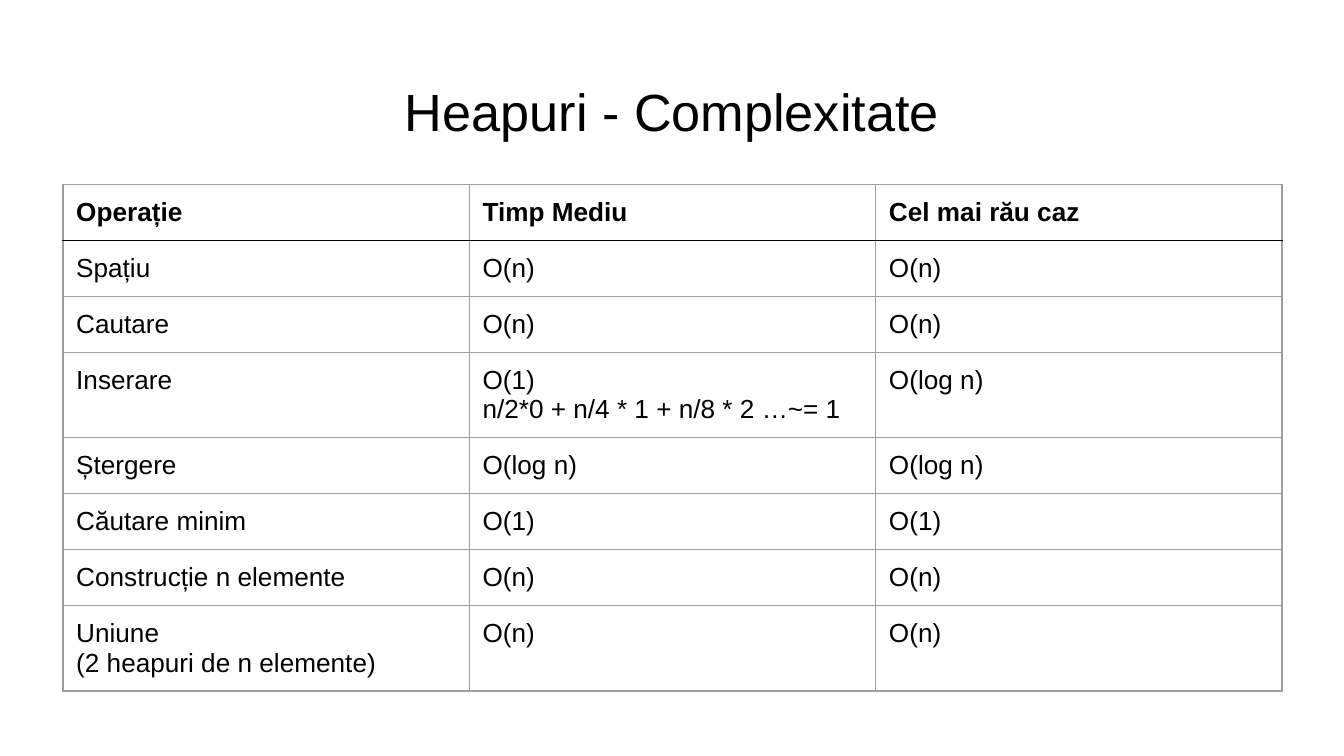
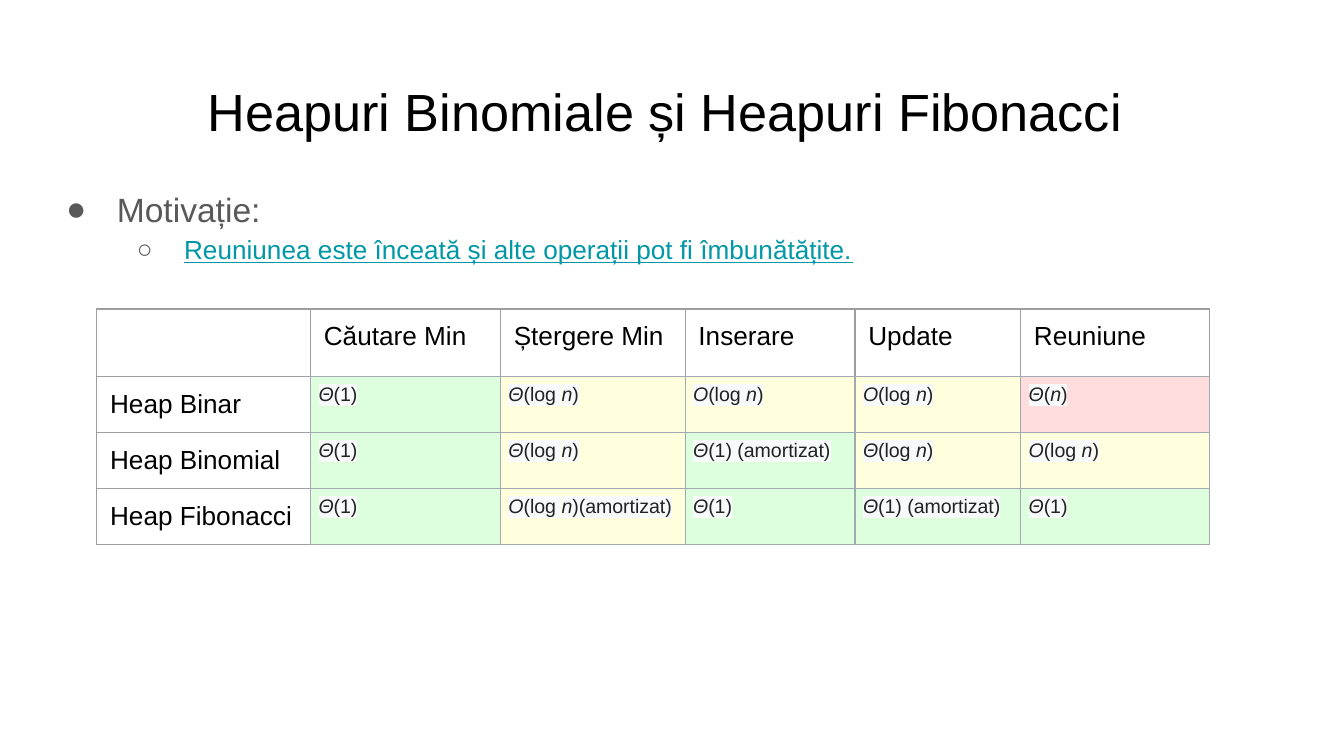
from dataclasses import dataclass, replace
from typing import NamedTuple, Optional

from lxml import etree
from pptx import Presentation
from pptx.dml.color import RGBColor
from pptx.enum.text import MSO_ANCHOR, MSO_AUTO_SIZE, PP_ALIGN
from pptx.oxml.ns import qn
from pptx.util import Cm, Pt

# Theme
FONT = "Arial"
BLACK = RGBColor(0x00, 0x00, 0x00)
WHITE = RGBColor(0xFF, 0xFF, 0xFF)
GREY = RGBColor(0x59, 0x59, 0x59)
TEAL = RGBColor(0x00, 0x97, 0xA7)
INK = RGBColor(0x22, 0x22, 0x22)
PAPER = RGBColor(0xF8, 0xF9, 0xFA)
LINE = RGBColor(0x9E, 0x9E, 0x9E)
SCORE_LINE = RGBColor(0xA2, 0xA9, 0xB1)
GREEN = RGBColor(0xDD, 0xFF, 0xDD)
YELLOW = RGBColor(0xFF, 0xFF, 0xDD)
RED = RGBColor(0xFF, 0xDD, 0xDD)
CENTER = PP_ALIGN.CENTER
TOP = MSO_ANCHOR.TOP
NO_AUTOFIT = MSO_AUTO_SIZE.NONE
TITLE_ONLY = 5
INSET = Cm(0.25)
ITALIC_MARK = "_"


class Edges(NamedTuple):
    """Border colours, in the order the cell properties need them."""
    L: RGBColor = LINE
    R: RGBColor = LINE
    T: RGBColor = LINE
    B: RGBColor = LINE


@dataclass(frozen=True)
class CellStyle:
    size: float = 14
    color: RGBColor = BLACK
    bold: bool = False
    highlight: Optional[RGBColor] = None
    spacing: Optional[float] = None
    after: float = 0
    inset_x: int = INSET
    inset_y: int = INSET
    edges: Edges = Edges()


class Cell(NamedTuple):
    text: str
    style: CellStyle
    fill: Optional[RGBColor] = None


class Bullet(NamedTuple):
    text: str
    char: str
    level: int
    margin: int
    hang: int
    size: float
    color: RGBColor
    underline: bool = False


PLAIN = CellStyle()
RULED_HEAD = CellStyle(bold=True, edges=Edges(B=BLACK))
UNDER_RULE = replace(PLAIN, edges=Edges(T=BLACK))
SCORE_HEAD = replace(PLAIN, edges=Edges(B=SCORE_LINE))
HEAP_NAME = replace(PLAIN, edges=Edges(R=SCORE_LINE))
SCORE = CellStyle(10.5, INK, highlight=PAPER, spacing=1.15, after=11,
                  inset_x=Cm(0.15), inset_y=Cm(0.08),
                  edges=Edges(*[SCORE_LINE] * 4))

# Content
COMPLEXITY = [
    ("Operație", "Timp Mediu", "Cel mai rău caz"),
    ("Spațiu", "O(n)", "O(n)"),
    ("Cautare", "O(n)", "O(n)"),
    ("Inserare", "O(1)\nn/2*0 + n/4 * 1 + n/8 * 2 …~= 1", "O(log n)"),
    ("Ștergere", "O(log n)", "O(log n)"),
    ("Căutare minim", "O(1)", "O(1)"),
    ("Construcție n elemente", "O(n)", "O(n)"),
    ("Uniune\n(2 heapuri de n elemente)", "O(n)", "O(n)"),
]

MOTIVATION = [
    Bullet("Motivație:", "●", 0, Cm(1.27), Cm(0.96), 18, GREY),
    Bullet("Reuniunea este înceată și alte operații pot fi îmbunătățite.", "○",
           1, Cm(2.54), Cm(0.89), 14, TEAL, True),
]

OPERATIONS = ["", "Căutare Min", "Ștergere Min", "Inserare", "Update", "Reuniune"]
CONSTANT = ("_Θ_(1)", GREEN)
AMORTIZED = ("_Θ_(1) (amortizat)", GREEN)
THETA_LOG = ("_Θ_(log _n_)", YELLOW)
O_LOG = ("_O_(log _n_)", YELLOW)
HEAPS = {
    "Heap Binar": [CONSTANT, THETA_LOG, O_LOG, O_LOG, ("_Θ_(_n_)", RED)],
    "Heap Binomial": [CONSTANT, THETA_LOG, AMORTIZED, THETA_LOG, O_LOG],
    "Heap Fibonacci": [CONSTANT, ("_O_(log _n_)(amortizat)", YELLOW),
                       CONSTANT, AMORTIZED, CONSTANT],
}


# Text
def add_text(p, text: str, *, size: float, color: RGBColor, bold: bool = False,
             underline: bool = False, highlight: Optional[RGBColor] = None,
             align=None, spacing: Optional[float] = None, after: float = 0) -> None:
    """Write text into a paragraph; stretches between marks are italic."""
    p.alignment = align
    p.line_spacing = spacing
    if after:
        p.space_after = Pt(after)
    for i, part in enumerate(text.split(ITALIC_MARK)):
        if not part:
            continue
        r = p.add_run()
        r.text = part
        font = r.font
        font.name, font.size, font.bold = FONT, Pt(size), bold
        font.italic = i % 2 == 1
        font.underline = underline
        font.color.rgb = color
        if highlight is not None:
            mark = etree.Element(qn("a:highlight"))
            etree.SubElement(mark, qn("a:srgbClr"), val=str(highlight))
            r._r.rPr.find(qn("a:solidFill")).addnext(mark)


def prepare_frame(tf) -> None:
    tf.word_wrap = True
    tf.auto_size = NO_AUTOFIT
    tf.vertical_anchor = TOP
    tf.margin_left = tf.margin_right = tf.margin_top = tf.margin_bottom = INSET


def add_bullets(s, bullets: list[Bullet]) -> None:
    tf = s.shapes.add_textbox(Cm(0.69), Cm(3.2), Cm(23.67), Cm(9.5)).text_frame
    prepare_frame(tf)
    for i, b in enumerate(bullets):
        p = tf.add_paragraph() if i else tf.paragraphs[0]
        p.level = b.level
        pPr = p._p.get_or_add_pPr()
        pPr.set("marL", str(b.margin))
        pPr.set("indent", str(-b.hang))
        color = etree.SubElement(pPr, qn("a:buClr"))
        etree.SubElement(color, qn("a:srgbClr"), val=str(GREY))
        etree.SubElement(pPr, qn("a:buFont"), typeface=FONT)
        etree.SubElement(pPr, qn("a:buChar"), char=b.char)
        add_text(p, b.text, size=b.size, color=b.color,
                 underline=b.underline, spacing=1.15)


# Tables
def draw_edges(cell, edges: Edges) -> None:
    tcPr = cell._tc.get_or_add_tcPr()
    for side, color in edges._asdict().items():
        ln = etree.SubElement(tcPr, qn(f"a:ln{side}"), w=str(Pt(0.75)))
        fill = etree.SubElement(ln, qn("a:solidFill"))
        etree.SubElement(fill, qn("a:srgbClr"), val=str(color))


def fill_cell(cell, item: Cell) -> None:
    style = item.style
    cell.margin_left = cell.margin_right = style.inset_x
    cell.margin_top = cell.margin_bottom = style.inset_y
    draw_edges(cell, style.edges)
    if item.fill is None:
        cell.fill.background()
    else:
        cell.fill.solid()
        cell.fill.fore_color.rgb = item.fill
    tf = cell.text_frame
    for i, line in enumerate(item.text.split("\n")):
        p = tf.add_paragraph() if i else tf.paragraphs[0]
        add_text(p, line, size=style.size, color=style.color, bold=style.bold,
                 highlight=style.highlight, spacing=style.spacing, after=style.after)


def add_grid(s, rows: list[list[Cell]], left: float, top: float,
             widths: list[float], heights: list[float]) -> None:
    table = s.shapes.add_table(len(rows), len(widths), Cm(left), Cm(top),
                               Cm(sum(widths)), Cm(sum(heights))).table
    table.first_row = table.horz_banding = False
    for column, width in zip(table.columns, widths):
        column.width = Cm(width)
    for i, (row, height) in enumerate(zip(rows, heights)):
        table.rows[i].height = Cm(height)
        for j, item in enumerate(row):
            fill_cell(table.cell(i, j), item)


# Slides
def add_slide(prs, title: str):
    s = prs.slides.add_slide(prs.slide_layouts[TITLE_ONLY])
    s.background.fill.solid()
    s.background.fill.fore_color.rgb = WHITE
    sp = s.shapes.title
    sp.left, sp.top, sp.width, sp.height = Cm(0.86), Cm(1.24), Cm(23.67), Cm(1.6)
    prepare_frame(sp.text_frame)
    add_text(sp.text_frame.paragraphs[0], title, size=28, color=BLACK, align=CENTER)
    return s


def complexity_slide(prs) -> None:
    s = add_slide(prs, "Heapuri - Complexitate")
    styles = [RULED_HEAD, UNDER_RULE] + [PLAIN] * (len(COMPLEXITY) - 2)
    rows = [[Cell(text, style) for text in row]
            for row, style in zip(COMPLEXITY, styles)]
    heights = [1.6 if any("\n" in text for text in row) else 1.06
               for row in COMPLEXITY]
    add_grid(s, rows, 1.19, 3.48, [7.68] * 3, heights)


def heaps_slide(prs) -> None:
    s = add_slide(prs, "Heapuri Binomiale și Heapuri Fibonacci ")
    add_bullets(s, MOTIVATION)
    head = [Cell(text, SCORE_HEAD if text else PLAIN) for text in OPERATIONS]
    body = [[Cell(name, HEAP_NAME)] + [Cell(text, SCORE, fill) for text, fill in scores]
            for name, scores in HEAPS.items()]
    add_grid(s, [head] + body, 1.83, 5.84,
             [4.04, 3.59, 3.49, 3.21, 3.13, 3.57], [1.23] + [1.06] * len(body))


def main() -> None:
    prs = Presentation()
    prs.slide_width, prs.slide_height = Cm(25.4), Cm(14.29)
    complexity_slide(prs)
    heaps_slide(prs)
    prs.save("out.pptx")


if __name__ == "__main__":
    main()
